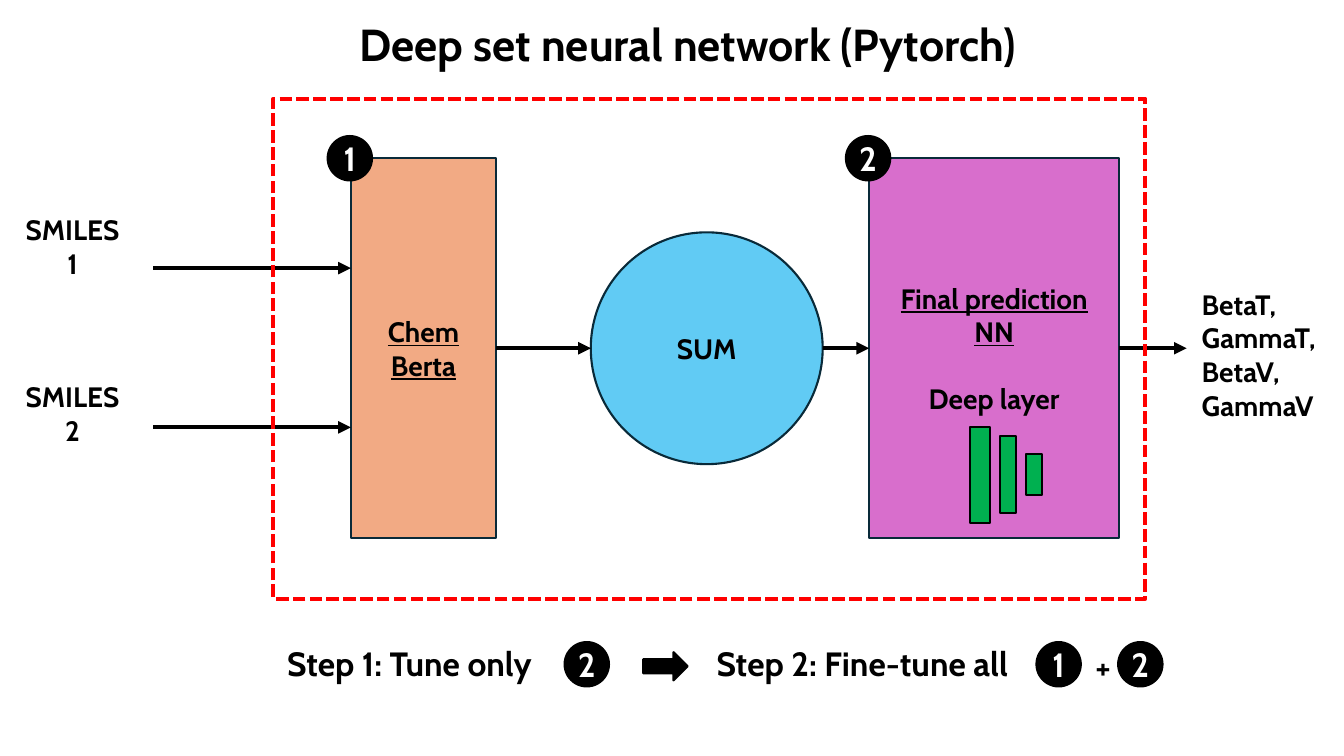
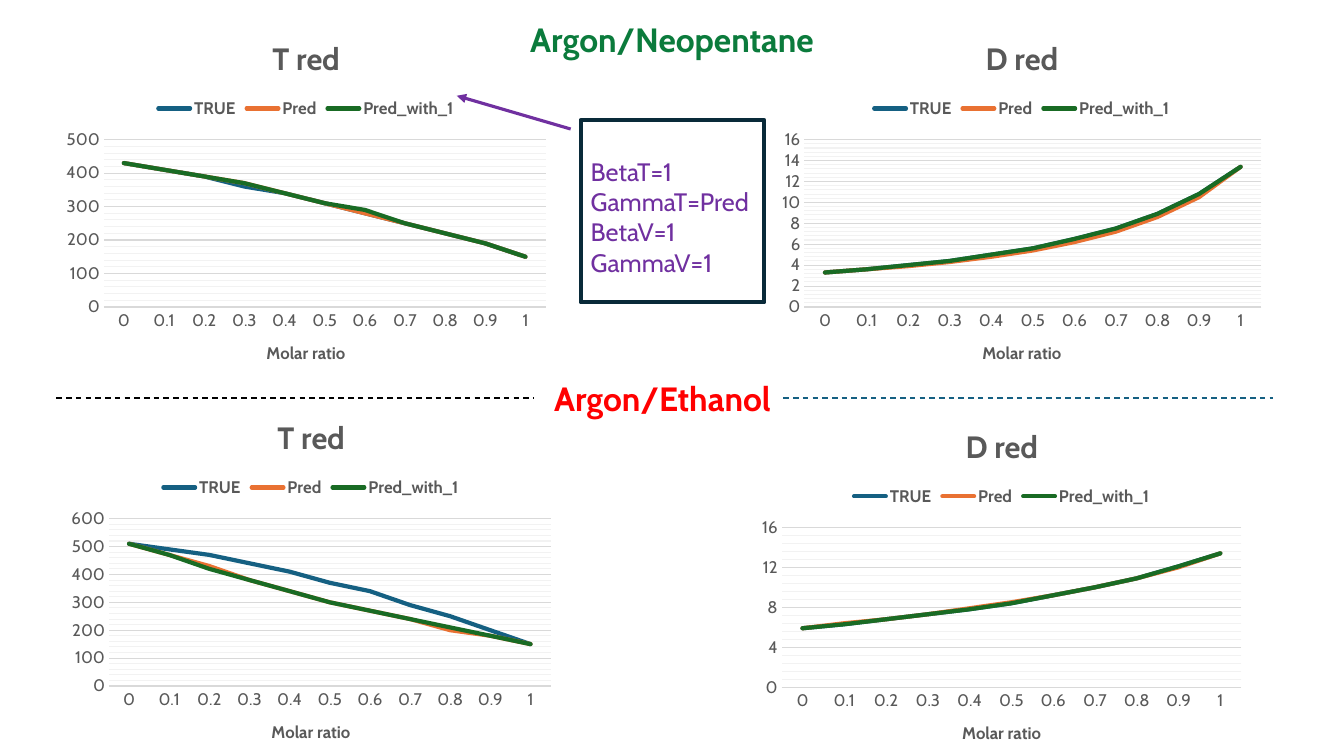
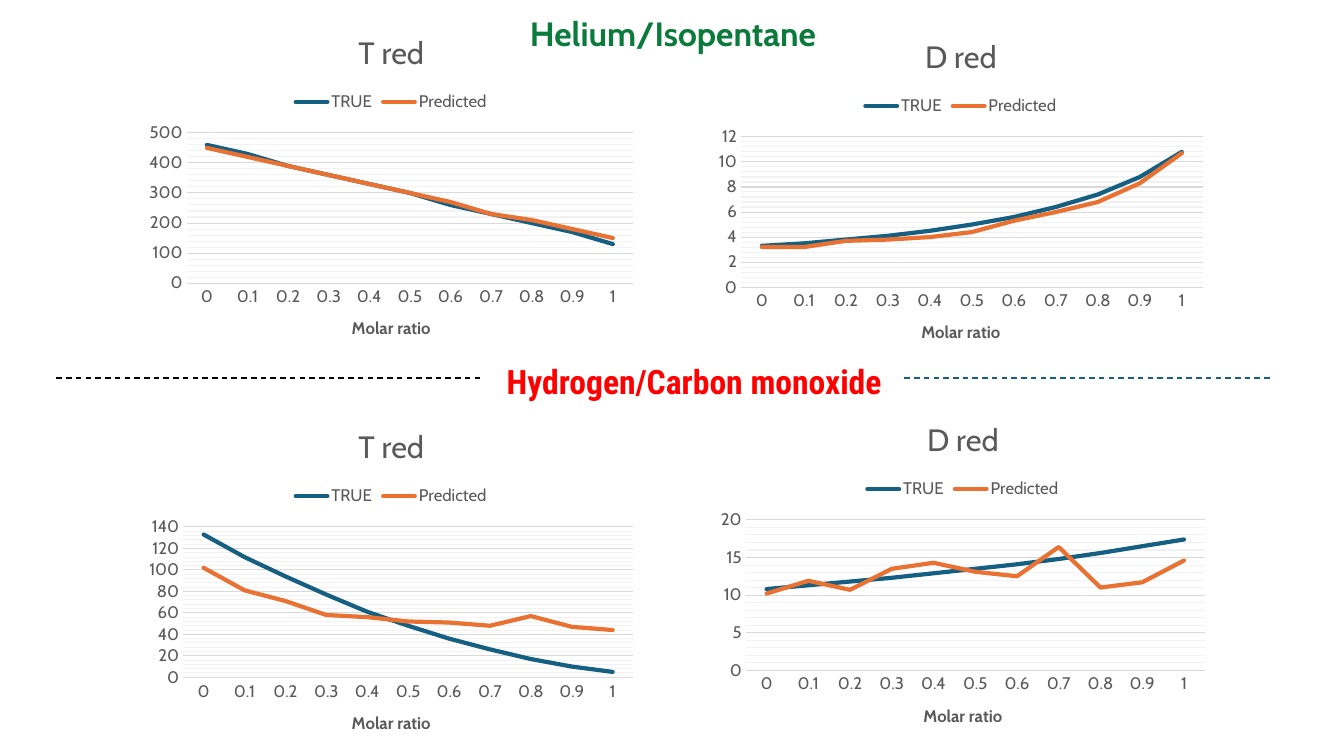
import lxml.etree
import pptx
import pptx.chart.data
import pptx.dml.color
import pptx.enum.chart
import pptx.enum.dml
import pptx.enum.shapes
import pptx.enum.text
import pptx.oxml.ns
import pptx.util

Inches = pptx.util.Inches
Pt = pptx.util.Pt
SHAPES = pptx.enum.shapes.MSO_SHAPE
ALIGN = pptx.enum.text.PP_ALIGN
DASH = pptx.enum.dml.MSO_LINE

FONT = "Cabin"
COLORS = {
    "black": "000000", "white": "FFFFFF", "navy": "092A39", "red": "FF0000",
    "green": "0B7B3C", "purple": "7030A0", "blue": "156082",
    "encoder": "F2AA84", "sum": "61CBF4", "prediction": "D86ECC", "layer": "00B050",
    "axis_text": "595959", "grid": "D9D9D9", "minor_grid": "F2F2F2",
}
SERIES_COLORS = ["156082", "E97132", "196B24"]
CATEGORIES = ["0", "0.1", "0.2", "0.3", "0.4", "0.5", "0.6", "0.7", "0.8", "0.9", "1"]


def rgb(name):
    return pptx.dml.color.RGBColor.from_string(COLORS.get(name, name))


def add_element(parent, tag, **attributes):
    return lxml.etree.SubElement(parent, pptx.oxml.ns.qn(tag), attributes)


def style_font(font, size, color, bold=False, name=FONT):
    font.name = name
    font.size = Pt(size)
    font.bold = bold
    font.color.rgb = rgb(color)


def write(shape, text, size, color="black", bold=True, align=ALIGN.CENTER, name=FONT):
    """Fill a shape with one paragraph per line of text."""
    frame = shape.text_frame
    frame.text = text
    for paragraph in frame.paragraphs:
        paragraph.alignment = align
        for run in paragraph.runs:
            style_font(run.font, size, color, bold, name)


def add_text(slide, box, text, size, **style):
    shape = slide.shapes.add_textbox(*map(Inches, box))
    shape.text_frame.word_wrap = False
    write(shape, text, size, **style)
    return shape


def add_block(slide, kind, box, fill=None, line="navy", width=1.5):
    shape = slide.shapes.add_shape(kind, *map(Inches, box))
    shape.shadow.inherit = False
    if fill:
        shape.fill.solid()
        shape.fill.fore_color.rgb = rgb(fill)
    else:
        shape.fill.background()
    shape.line.color.rgb = rgb(line)
    shape.line.width = Pt(width)
    shape.text_frame.vertical_anchor = pptx.enum.text.MSO_ANCHOR.MIDDLE
    return shape


def add_line(slide, start, end, color="black", width=3, arrow=True):
    """Draw an arrow, or a dashed rule when arrow is False."""
    connector = slide.shapes.add_connector(
        pptx.enum.shapes.MSO_CONNECTOR.STRAIGHT, *map(Inches, (*start, *end)))
    connector.line.color.rgb = rgb(color)
    connector.line.width = Pt(width)
    if arrow:
        add_element(connector.line._get_or_add_ln(), "a:tailEnd", type="triangle")
    else:
        connector.line.dash_style = DASH.DASH
    add_element(connector._element.spPr, "a:effectLst")
    return connector


def add_badge(slide, left, top, number):
    badge = add_block(slide, SHAPES.OVAL, (left, top, 0.44, 0.44), "black", "black")
    frame = badge.text_frame
    frame.margin_left = frame.margin_right = frame.margin_top = frame.margin_bottom = 0
    write(badge, number, 24, color="white")


# Network diagram
def add_network(slide, left, top, width, height):
    block_top, block_height = top + 0.59, 3.77
    middle = block_top + block_height / 2

    prediction_left = left + 5.91
    prediction = add_block(slide, SHAPES.RECTANGLE,
                           (prediction_left, block_top, 2.48, block_height), "prediction")
    write(prediction, "Final prediction NN\nDeep layer", 20)
    heading, caption = prediction.text_frame.paragraphs
    heading.runs[0].font.underline = True
    caption.space_before = Pt(24)

    sum_left, sum_size = left + 3.15, 2.3
    total = add_block(slide, SHAPES.OVAL,
                      (sum_left, middle - sum_size / 2, sum_size, sum_size), "sum")
    write(total, "SUM", 20)

    encoder_left, encoder_width = left + 0.77, 1.44
    encoder = add_block(slide, SHAPES.RECTANGLE,
                        (encoder_left, block_top, encoder_width, block_height), "encoder")
    write(encoder, "Chem\nBerta", 20)
    for paragraph in encoder.text_frame.paragraphs:
        paragraph.runs[0].font.underline = True

    # Deep layers, shrinking to the right
    layer_middle = block_top + 3.14
    for offset, layer_width, layer_height in ((1, 0.2, 0.95), (1.3, 0.16, 0.76), (1.56, 0.16, 0.41)):
        add_block(slide, SHAPES.RECTANGLE,
                  (prediction_left + offset, layer_middle - layer_height / 2,
                   layer_width, layer_height), "layer", "black")

    # Inputs and outputs
    for number, label_top, arrow_y in (("1", 1.08, 1.68), ("2", 2.74, 3.26)):
        add_text(slide, (left - 2.57, top + label_top, 1.16, 0.77), "SMILES\n" + number, 20)
        add_line(slide, (left - 1.19, top + arrow_y), (encoder_left, top + arrow_y))
    add_text(slide, (left + 9.11, top + 1.82, 1.4, 1.45),
             "BetaT,\nGammaT,\nBetaV,\nGammaV", 20, align=ALIGN.LEFT)

    # Flow between the blocks
    into_sum = add_line(slide, (encoder_left + encoder_width, middle), (sum_left, middle))
    into_sum.begin_connect(encoder, 3)
    from_sum = add_line(slide, (sum_left + sum_size, middle), (prediction_left, middle))
    from_sum.end_connect(prediction, 1)
    output = add_line(slide, (prediction_left + 2.48, middle), (left + 9.06, middle))
    output.begin_connect(prediction, 3)

    # Frame and block numbers
    frame = add_block(slide, SHAPES.RECTANGLE, (left, top, width, height), None, "red", 3)
    frame.line.dash_style = DASH.SQUARE_DOT
    for number, block_left in (("1", encoder_left), ("2", prediction_left)):
        add_badge(slide, block_left - 0.23, block_top - 0.22, number)


# Training steps below the diagram
def add_steps(slide, left, top):
    add_text(slide, (left, top, 2.85, 0.5), "Step 1: Tune only", 24, align=ALIGN.LEFT)
    add_block(slide, SHAPES.RIGHT_ARROW, (left + 3.63, top + 0.14, 0.44, 0.28), "black", "black")
    add_text(slide, (left + 4.26, top, 3.24, 0.5), "Step 2: Fine-tune all", 24, align=ALIGN.LEFT)
    add_text(slide, (left + 8, top + 0.03, 0.38, 0.5), "+", 24)
    for offset, number in ((2.85, "2"), (7.53, "1"), (8.34, "2")):
        add_badge(slide, left + offset, top + 0.04, number)


def add_minor_gridlines(axis):
    axis.has_minor_gridlines = True
    gridlines = axis._element.find(pptx.oxml.ns.qn("c:minorGridlines"))
    line = add_element(add_element(gridlines, "c:spPr"), "a:ln", w=str(Pt(0.75)))
    add_element(add_element(line, "a:solidFill"), "a:srgbClr", val=COLORS["minor_grid"])


def add_line_chart(slide, box, title, series, bold, major_unit=None):
    data = pptx.chart.data.CategoryChartData()
    data.categories = CATEGORIES
    for name, values in series.items():
        data.add_series(name, values)
    chart = slide.shapes.add_chart(
        pptx.enum.chart.XL_CHART_TYPE.LINE, *map(Inches, box), data).chart
    style_font(chart.font, 12, "axis_text")

    chart.has_title = True
    chart.chart_title.include_in_layout = False
    chart.has_legend = True
    chart.legend.position = pptx.enum.chart.XL_LEGEND_POSITION.TOP
    chart.legend.include_in_layout = False
    style_font(chart.legend.font, 12, "axis_text", bold)

    category_axis, value_axis = chart.category_axis, chart.value_axis
    category_axis.has_title = True
    for owner, text, size, weight in ((chart.chart_title, title, 22, bold),
                                      (category_axis.axis_title, "Molar ratio", 12, True)):
        owner.text_frame.text = text
        style_font(owner.text_frame.paragraphs[0].runs[0].font, size, "axis_text", weight)

    for axis in (category_axis, value_axis):
        axis.major_tick_mark = axis.minor_tick_mark = pptx.enum.chart.XL_TICK_MARK.NONE
        style_font(axis.tick_labels.font, 12, "axis_text")
    value_axis.format.line.fill.background()
    value_axis.minimum_scale = 0
    if major_unit:
        value_axis.major_unit = major_unit
    value_axis.has_major_gridlines = True
    for part in (category_axis, value_axis.major_gridlines):
        part.format.line.color.rgb = rgb("grid")
        part.format.line.width = Pt(0.75)
    add_minor_gridlines(value_axis)

    chart.plots[0].vary_by_categories = False
    for line_series, color in zip(chart.plots[0].series, SERIES_COLORS):
        line_series.smooth = False
        line_series.marker.style = pptx.enum.chart.XL_MARKER_STYLE.NONE
        line_series.format.line.color.rgb = rgb(color)
        line_series.format.line.width = Pt(3)
        line_series.format.line._get_or_add_ln().set("cap", "rnd")


# Note naming the fixed parameters
def add_parameter_note(slide, left, top, width, height):
    add_block(slide, SHAPES.RECTANGLE, (left, top, width, height), None, "navy", 3)
    add_text(slide, (left, top + 0.31, width, 1.31),
             "BetaT=1\nGammaT=Pred\nBetaV=1\nGammaV=1", 18,
             color="purple", bold=False, align=ALIGN.LEFT)
    add_line(slide, (left - 0.1, top + 0.09), (left - 1.23, top - 0.24), "purple", 2.25)


# Slide with two mixtures, each with a T and a D chart
def add_comparison(presentation, charts, names, bold, headings, rule_y, rule_gap):
    slide = add_slide(presentation)
    for box, title, values, major_unit in charts:
        add_line_chart(slide, box, title, dict(zip(names, values)), bold, major_unit)
    for box, text, color, font in headings:
        add_text(slide, box, text, 24, color=color, name=font)
    gap_left, gap_right = rule_gap
    add_line(slide, (0.56, rule_y), (gap_left, rule_y), "black", 1, arrow=False)
    add_line(slide, (gap_right, rule_y), (12.63, rule_y), "blue", 1, arrow=False)
    return slide


def add_slide(presentation):
    return presentation.slides.add_slide(presentation.slide_layouts[6])


ARGON_CHARTS = [
    ((0.56, 0.19, 4.95, 3.63), "T red", [
        [430, 410, 390, 360, 340, 310, 280, 250, 220, 190, 150],
        [430, 410, 390, 370, 340, 310, 280, 250, 220, 190, 150],
        [430, 410, 390, 370, 340, 310, 290, 250, 220, 190, 150]], None),
    ((7.66, 0.19, 4.95, 3.63), "D red", [
        [3.3, 3.6, 4, 4.4, 5, 5.6, 6.5, 7.5, 8.9, 10.8, 13.4],
        [3.3, 3.6, 3.9, 4.3, 4.8, 5.4, 6.2, 7.2, 8.6, 10.5, 13.4],
        [3.3, 3.6, 4, 4.4, 5, 5.6, 6.5, 7.5, 8.9, 10.8, 13.4]], None),
    ((0.61, 3.95, 4.95, 3.63), "T red", [
        [510, 490, 470, 440, 410, 370, 340, 290, 250, 200, 150],
        [510, 470, 430, 380, 340, 300, 270, 240, 200, 180, 150],
        [510, 470, 420, 380, 340, 300, 270, 240, 210, 180, 150]], None),
    ((7.46, 4.04, 4.95, 3.55), "D red", [
        [5.9, 6.3, 6.8, 7.3, 7.8, 8.4, 9.2, 10, 10.9, 12.1, 13.4],
        [5.9, 6.4, 6.8, 7.3, 7.9, 8.5, 9.2, 10, 10.9, 12, 13.4],
        [5.9, 6.3, 6.8, 7.3, 7.8, 8.4, 9.2, 10, 10.9, 12.1, 13.4]], 4),
]
HELIUM_CHARTS = [
    ((1.38, 0.13, 5, 3.45), "T red", [
        [460, 430, 390, 360, 330, 300, 260, 230, 200, 170, 130],
        [450, 420, 390, 360, 330, 300, 270, 230, 210, 180, 150]], None),
    ((7.03, 0.17, 5, 3.45), "D red", [
        [3.3, 3.5, 3.8, 4.1, 4.5, 5, 5.6, 6.4, 7.4, 8.8, 10.8],
        [3.2, 3.2, 3.7, 3.8, 4, 4.4, 5.3, 6, 6.8, 8.3, 10.7]], None),
    ((1.38, 4.04, 5, 3.45), "T red", [
        [133, 112, 94, 77, 61, 48, 36, 26, 17, 10, 5],
        [102, 81, 71, 58, 56, 52, 51, 48, 57, 47, 44]], None),
    ((7.05, 3.97, 5, 3.45), "D red", [
        [10.8, 11.3, 11.8, 12.3, 12.9, 13.5, 14.1, 14.8, 15.6, 16.5, 17.4],
        [10.2, 11.9, 10.7, 13.5, 14.3, 13.1, 12.5, 16.4, 11, 11.7, 14.6]], None),
]


def main():
    presentation = pptx.Presentation()
    presentation.slide_width, presentation.slide_height = Inches(13.33), Inches(7.5)

    # Slide 1: network
    slide = add_slide(presentation)
    add_text(slide, (3.47, 0.12, 7.1, 0.64), "Deep set neural network (Pytorch)", 32,
             align=ALIGN.LEFT)
    add_network(slide, 2.71, 0.98, 8.65, 4.96)
    add_steps(slide, 2.75, 6.33)

    # Slide 2: argon mixtures
    slide = add_comparison(
        presentation, ARGON_CHARTS, ["TRUE", "Pred", "Pred_with_1"], True,
        [((5.11, 0.14, 3.11, 0.5), "Argon/Neopentane", "green", FONT),
         ((5.37, 3.7, 2.4, 0.5), "Argon/Ethanol", "red", FONT)],
        3.95, (5.29, 7.77))
    add_parameter_note(slide, 5.76, 1.19, 1.82, 1.81)

    # Slide 3: helium and hydrogen mixtures
    add_comparison(
        presentation, HELIUM_CHARTS, ["TRUE", "Predicted"], False,
        [((5.05, 0.08, 3.25, 0.5), "Helium/Isopentane", "green", FONT),
         ((4.8, 3.53, 4.17, 0.5), "Hydrogen/Carbon monoxide", "red", "Roboto Condensed")],
        3.75, (4.8, 8.97))

    presentation.save("out.pptx")


if __name__ == "__main__":
    main()
